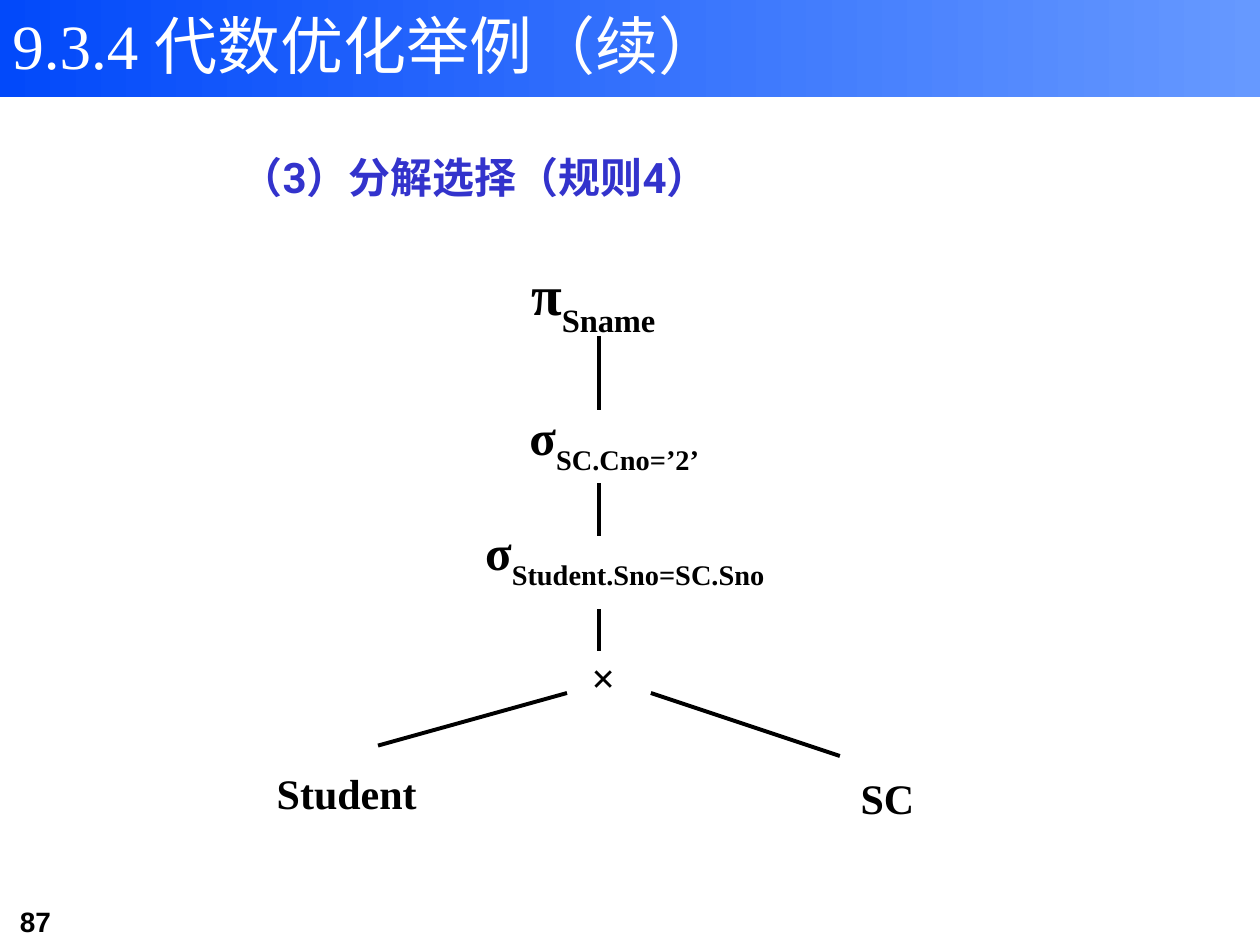
"""Build the slide on splitting a selection in a relational algebra query tree."""
import pptx
import pptx.dml.color
import pptx.enum.shapes
import pptx.enum.text
import pptx.oxml
import pptx.util
from pptx.util import Cm

COLORS = {"bar_left": "0249FA", "bar_right": "6699FF", "title": "FFFFFF",
          "heading": "3333CC", "ink": "000000"}
SERIF = "Times New Roman"


def rgb(name):
    return pptx.dml.color.RGBColor.from_string(COLORS[name])


def add_text(box, text, size, font, color, bold=True, wrap=True):
    textbox = slide.shapes.add_textbox(*[Cm(length) for length in box])
    textbox.text_frame.word_wrap = wrap
    paragraph = textbox.text_frame.paragraphs[0]
    paragraph.add_run().text = text
    paragraph.font.size = pptx.util.Pt(size)
    paragraph.font.name = font
    paragraph.font.bold = bold
    paragraph.font.color.rgb = rgb(color)
    return textbox


presentation = pptx.Presentation()
presentation.slide_width = Cm(25.4)
presentation.slide_height = Cm(19.05)
slide = presentation.slides.add_slide(presentation.slide_layouts[6])

title_bar = slide.shapes.add_shape(
    pptx.enum.shapes.MSO_SHAPE.RECTANGLE, 0, 0, Cm(25.4), Cm(1.96))
title_bar.shadow.inherit = False
title_bar.line.fill.background()
title_bar.fill.gradient()
title_bar.fill.gradient_angle = 0
for stop, name in zip(title_bar.fill.gradient_stops, ("bar_left", "bar_right")):
    stop.color.rgb = rgb(name)

add_text((0.15, 18.11, 3.1, 0.94), "87", 16, "Arial", "ink")

tree_nodes = [
    ((10.16, 5.08, 3.81, 1.9), "π", "Sname", 32),
    ((9.53, 8.26, 5.92, 1.27), "σ", "SC.Cno=’2’", 28),
    ((9.1, 10.37, 7.2, 1.7), "σ", "Student.Sno=SC.Sno", 28),
    ((11, 12.91, 2.54, 1.48), "× ", "", 24),
    ((4.99, 15.24, 4, 1.48), "Student", "", 24),
    ((16.3, 15.24, 3.18, 1.7), "SC", "", 24),
]
for box, symbol, subscript, size in tree_nodes:
    textbox = add_text(box, symbol, size, SERIF, "ink", wrap=False)
    textbox.text_frame.vertical_anchor = pptx.enum.text.MSO_ANCHOR.MIDDLE
    paragraph = textbox.text_frame.paragraphs[0]
    paragraph.alignment = pptx.enum.text.PP_ALIGN.CENTER
    if subscript:
        run = paragraph.add_run()
        run.text = subscript
        run.font._element.set("baseline", "-30000")
        run = paragraph.add_run()
        run.text = " "
        run.font.size = pptx.util.Pt(24)

edges = [
    (12.07, 6.77, 12.07, 8.26),
    (12.07, 9.74, 12.07, 10.8),
    (12.07, 12.28, 12.07, 13.12),
    (11.43, 13.97, 7.62, 15.03),
    (13.12, 13.97, 16.93, 15.24),
]
for edge in edges:
    connector = slide.shapes.add_connector(
        pptx.enum.shapes.MSO_CONNECTOR.STRAIGHT, *[Cm(length) for length in edge])
    connector.line.color.rgb = rgb("ink")
    connector.line.width = pptx.util.Pt(2.25)
    connector._element.spPr.append(pptx.oxml.parse_xml(
        '<a:effectLst xmlns:a="http://schemas.openxmlformats.org/drawingml/2006/main"/>'))

add_text((0, 0, 17.6, 3.33), "9.3.4 代数优化举例（续）", 36, SERIF, "title", bold=False)
add_text((4.6, 2.92, 15.09, 1.27), "（3）分解选择（规则4）", 24, "Roboto", "heading")

presentation.save("out.pptx")
